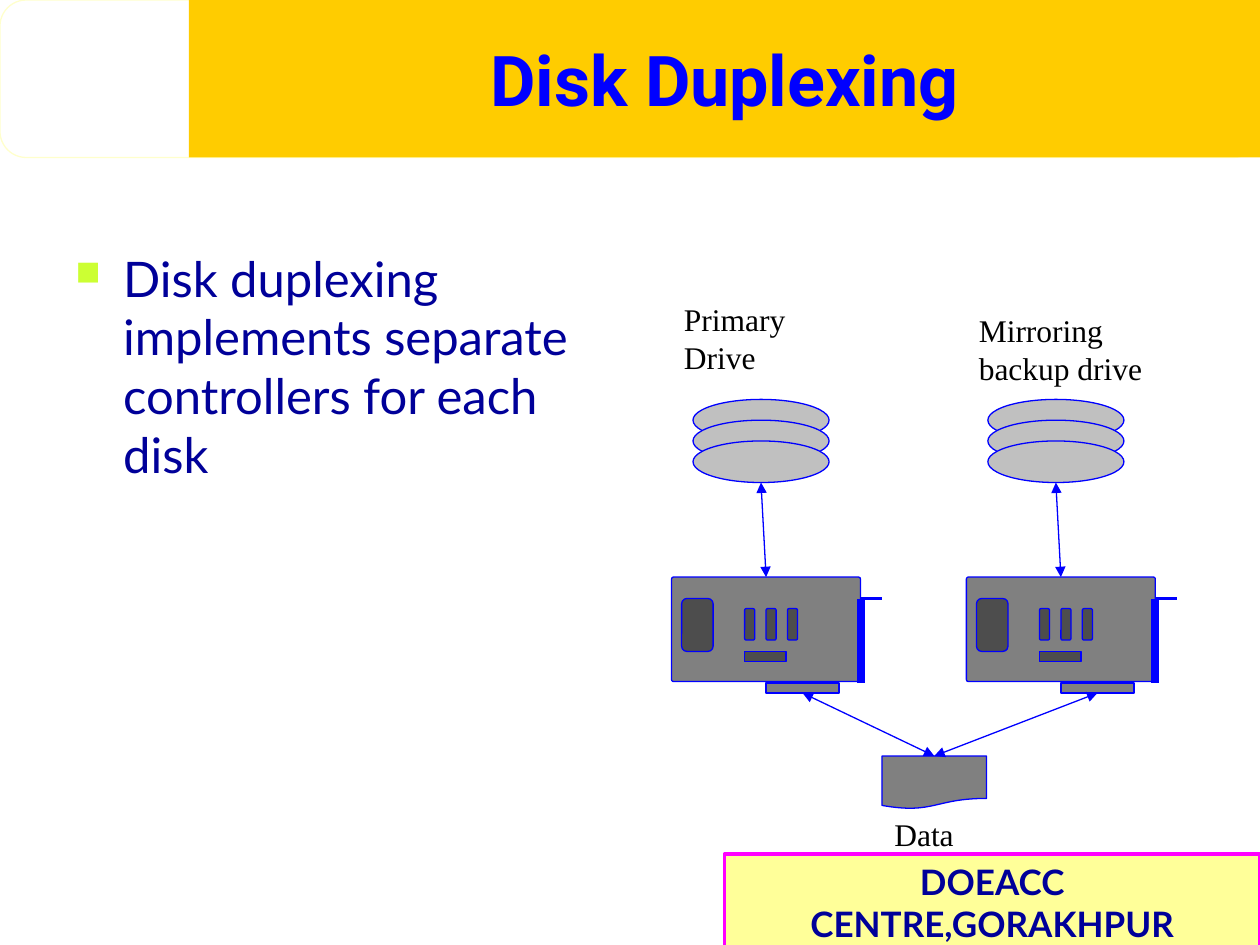
import lxml.etree
import pptx
import pptx.dml.color
import pptx.enum.shapes
import pptx.enum.text
import pptx.oxml.ns
import pptx.util

Inches = pptx.util.Inches
Shape = pptx.enum.shapes.MSO_SHAPE
Align = pptx.enum.text.PP_ALIGN
Anchor = pptx.enum.text.MSO_ANCHOR
BLUE, NAVY, GRAY, DARK = "0000FF", "000099", "808080", "4D4D4D"


def paint(form, tint):
    """Give a fill or font colour object a solid hex colour."""
    form.rgb = pptx.dml.color.RGBColor.from_string(tint)


def node(host, tag, **attrs):
    """Append a DrawingML child with the given attributes."""
    return lxml.etree.SubElement(host, pptx.oxml.ns.qn(tag), attrs)


def block(host, kind, box, fill, line=BLUE, width=0.75, round_by=None):
    """Add a filled preset shape, outlined unless line is None."""
    item = host.shapes.add_shape(kind, *map(Inches, box))
    item.shadow.inherit = False
    item.fill.solid()
    paint(item.fill.fore_color, fill)
    if line:
        paint(item.line.color, line)
        item.line.width = pptx.util.Pt(width)
    else:
        item.line.fill.background()
    if round_by is not None:
        item.adjustments[0] = round_by
    return item


def write(item, text, size=18, face="Times New Roman", tint="000000", bold=False,
          align=Align.LEFT, anchor=Anchor.TOP, mark=None):
    """Write one formatted paragraph into a shape, bulleted if mark is a colour."""
    frame = item.text_frame
    frame.word_wrap = True
    frame.vertical_anchor = anchor
    para = frame.paragraphs[0]
    para.text = text
    para.alignment = align
    if mark:
        props = para._p.get_or_add_pPr()
        props.set("marL", str(Inches(0.38)))
        props.set("indent", str(Inches(-0.38)))
        node(node(props, "a:buClr"), "a:srgbClr", val=mark)
        node(props, "a:buSzPct", val="70000")
        node(props, "a:buChar", char="■")
    for run in para.runs:
        run.font.size = pptx.util.Pt(size)
        run.font.name = face
        run.font.bold = bold
        paint(run.font.color, tint)


def label(slide, box, text, **style):
    """Add a text box holding one paragraph."""
    write(slide.shapes.add_textbox(*map(Inches, box)), text, **style)


def link(host, start, end, width=0.75, heads=False):
    """Add a straight blue line, with arrowheads at both ends if asked."""
    kind = pptx.enum.shapes.MSO_CONNECTOR.STRAIGHT
    line = host.shapes.add_connector(kind, *map(Inches, start + end))
    paint(line.line.color, BLUE)
    line.line.width = pptx.util.Pt(width)
    if heads:
        for tag in ("a:headEnd", "a:tailEnd"):
            node(line.line._get_or_add_ln(), tag, type="triangle")
    node(line._element.spPr, "a:effectLst")
    return line


def drive(slide, left):
    """Add a stack of three disks."""
    group = slide.shapes.add_group_shape()
    for step in range(3):
        block(group, Shape.OVAL, (left, 3.17 + step * 0.165, 1.08, 0.33), "C0C0C0")


def card(slide, left):
    """Add a controller card and return its board and edge plug."""
    group = slide.shapes.add_group_shape()
    board = block(group, Shape.ROUNDED_RECTANGLE, (left, 4.58, 1.5, 0.83), GRAY,
                  round_by=0.02)
    plug = block(group, Shape.RECTANGLE, (left + 0.75, 5.42, 0.58, 0.08), GRAY)
    side = left + 1.5
    link(group, (side, 5.42), (side, 4.75), width=4.5)
    link(group, (side, 4.75), (side + 0.17, 4.75), width=2.25)
    block(group, Shape.ROUNDED_RECTANGLE, (left + 0.08, 4.75, 0.25, 0.42), DARK)
    for step in range(3):
        chip = (left + 0.58 + step * 0.17, 4.83, 0.08, 0.25)
        block(group, Shape.ROUNDED_RECTANGLE, chip, DARK)
    block(group, Shape.RECTANGLE, (left + 0.58, 5.17, 0.33, 0.08), DARK)
    return board, plug


def main():
    """Build and save the slide."""
    deck = pptx.Presentation()
    deck.slide_width, deck.slide_height = Inches(10), Inches(7.5)
    slide = deck.slides.add_slide(deck.slide_layouts[6])

    block(slide, Shape.FLOWCHART_ALTERNATE_PROCESS, (0, 0, 10, 1.25), "FFFFFF", "FFFFCC")
    foot = block(slide, Shape.RECTANGLE, (5.75, 6.78, 4.25, 0.77), "FFFF99", "FF00FF", 2.25)
    write(foot, "DOEACC CENTRE,GORAKHPUR", size=20, face="Lato", tint=NAVY, bold=True,
          align=Align.CENTER)
    title = block(slide, Shape.RECTANGLE, (1.5, 0, 8.5, 1.25), "FFCC00", None)
    write(title, "Disk Duplexing", size=40, face="Roboto", tint=BLUE, bold=True,
          align=Align.CENTER, anchor=Anchor.MIDDLE)
    label(slide, (0.5, 1.92, 4.4, 4.5),
          "Disk duplexing implements separate controllers for each disk",
          size=28, face="Lato", tint=NAVY, mark="CCFF33")

    label(slide, (5.33, 2.33, 1.25, 0.7), "Primary\nDrive")
    label(slide, (7.67, 2.42, 1.83, 0.7), "Mirroring backup drive")
    data = block(slide, Shape.FLOWCHART_DOCUMENT, (7, 6, 0.83, 0.42), GRAY)
    label(slide, (7, 6.42, 0.83, 0.4), "Data")

    for left in (5.33, 7.67):
        drive(slide, left + 0.17)
        board, plug = card(slide, left)
        up = link(slide, (left + 0.75, 4.58), (left + 0.71, 3.83), heads=True)
        up.begin_connect(board, 0)
        down = link(slide, (7.42, 6), (left + 1.04, 5.5), heads=True)
        down.begin_connect(data, 0)
        down.end_connect(plug, 2)

    deck.save("out.pptx")


if __name__ == "__main__":
    main()
